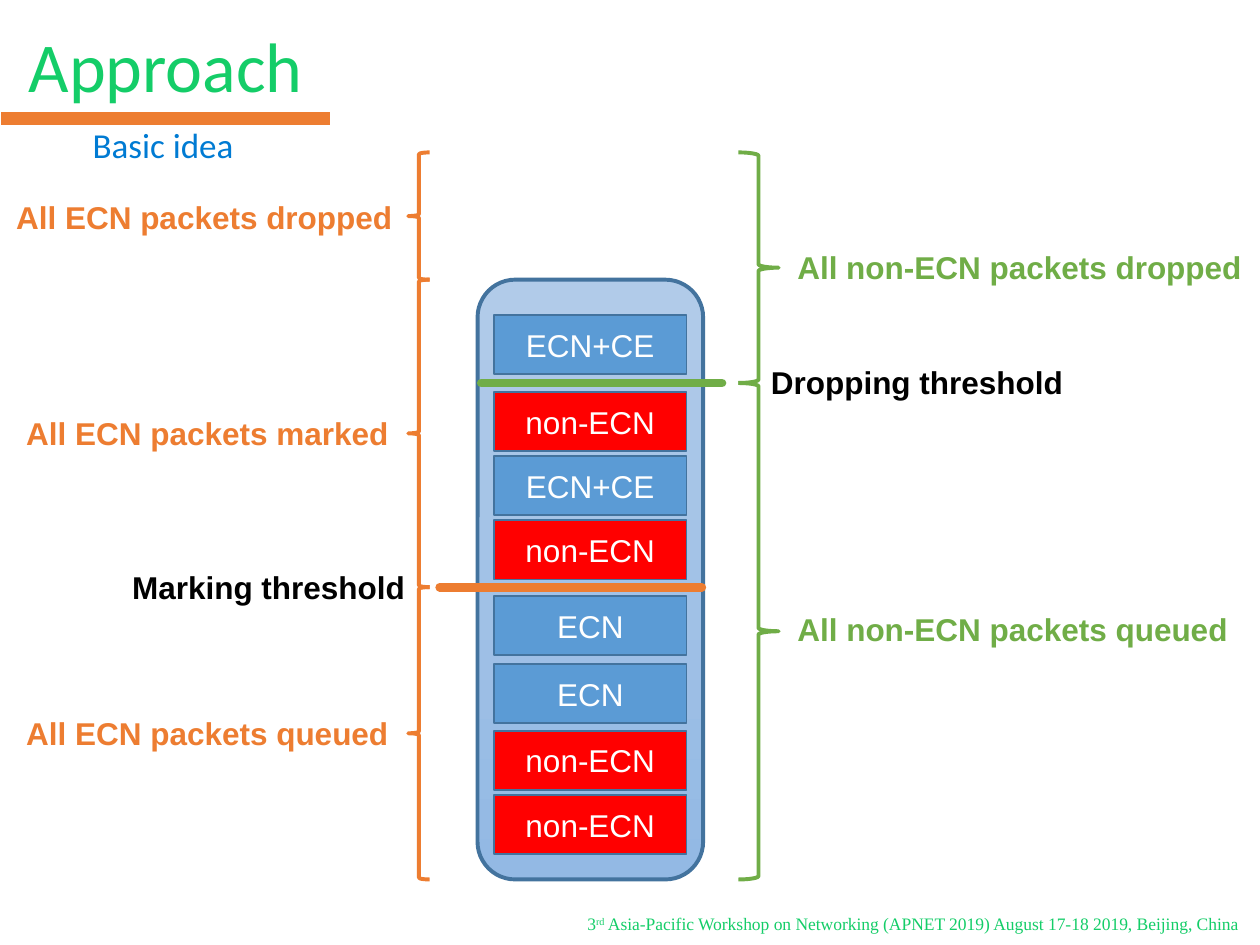
from typing import NamedTuple

from lxml import etree
from pptx import Presentation
from pptx import util as u
from pptx.dml import color
from pptx.enum import shapes, text
from pptx.oxml import ns

ORANGE, GREEN, BLUE, RED = "ED7D31", "70AD47", "5B9BD5", "FF0000"
EDGE, MINT, BLACK, WHITE = "43739E", "14CD68", "000000", "FFFFFF"
KIND = shapes.MSO_SHAPE
MID, LEFT = text.PP_ALIGN.CENTER, text.PP_ALIGN.LEFT
LABEL = {"name": "Arial", "size": u.Pt(18), "bold": True}
PLAIN = {**LABEL, "bold": False}


class Box(NamedTuple):
    x: float
    y: float
    w: float
    h: float


class Packet(NamedTuple):
    word: str
    top: float
    fill: str


class Label(NamedTuple):
    word: str
    box: Box
    tint: str


class Brace(NamedTuple):
    kind: KIND
    box: Box
    tint: str


class Rule(NamedTuple):
    start: float
    end: float
    y: float
    width: float
    tint: str
    cap: str


PACKETS = [
    Packet("ECN+CE", 2.5, BLUE),
    Packet("non-ECN", 3.11, RED),
    Packet("ECN+CE", 3.62, BLUE),
    Packet("non-ECN", 4.13, RED),
    Packet("ECN", 4.73, BLUE),
    Packet("ECN", 5.27, BLUE),
    Packet("non-ECN", 5.8, RED),
    Packet("non-ECN", 6.31, RED),
]
LABELS = [
    Label("All ECN packets dropped", Box(0.03, 1.52, 3.28, 0.4), ORANGE),
    Label("All ECN packets marked", Box(0.11, 3.24, 3.08, 0.4), ORANGE),
    Label("Marking threshold", Box(0.95, 4.46, 2.39, 0.4), BLACK),
    Label("All ECN packets queued", Box(0.11, 5.62, 3.08, 0.4), ORANGE),
    Label("All non-ECN packets dropped", Box(6.23, 1.92, 3.74, 0.4), GREEN),
    Label("Dropping threshold", Box(6.02, 2.83, 2.52, 0.4), BLACK),
    Label("All non-ECN packets queued", Box(6.23, 4.79, 3.62, 0.4), GREEN),
]
TOP, FULL, DROP, MARK, BASE = 1.21, 2.22, 3.04, 4.66, 6.98
BRACES = [
    Brace(KIND.LEFT_BRACE, Box(3.24, a, 0.17, b - a), ORANGE)
    for a, b in [(TOP, FULL), (FULL, MARK), (MARK, BASE)]
] + [
    Brace(KIND.RIGHT_BRACE, Box(5.86, a, 0.32, b - a), GREEN)
    for a, b in [(TOP, DROP), (DROP, BASE)]
]
RULES = [
    Rule(0.01, 2.62, 0.94, 7, ORANGE, "flat"),
    Rule(3.49, 5.57, MARK, 5, ORANGE, "rnd"),
    Rule(3.82, 5.73, DROP, 5, GREEN, "rnd"),
]


def tone(code: str) -> color.RGBColor:
    return color.RGBColor.from_string(code)


def apply(item, values: dict) -> None:
    for key, value in values.items():
        setattr(item, key, value)


def write(shape, words: list, style: dict, tint: str, align=MID,
          anchor=text.MSO_ANCHOR.MIDDLE, space=1.0) -> None:
    frame = shape.text_frame
    apply(frame, {"word_wrap": True, "vertical_anchor": anchor,
                  "auto_size": text.MSO_AUTO_SIZE.NONE})
    para = frame.paragraphs[0]
    apply(para, {"alignment": align, "line_spacing": space})
    for word in words:
        run = para.add_run()
        run.text = word
        apply(run.font, style)
        run.font.color.rgb = tone(tint)


def add_text(slide, box: Box, words: list, style: dict, tint: str, **kind):
    shape = slide.shapes.add_textbox(*map(u.Inches, box))
    write(shape, words, style, tint, **kind)
    return shape


def add_form(slide, kind: KIND, box: Box, edge: str, width: float):
    shape = slide.shapes.add_shape(kind, *map(u.Inches, box))
    shape.shadow.inherit = False
    shape.fill.background()
    shape.line.color.rgb = tone(edge)
    shape.line.width = u.Pt(width)
    return shape


def add_queue(slide) -> None:
    box = Box(3.79, FULL, 1.79, BASE - FULL)
    queue = add_form(slide, KIND.ROUNDED_RECTANGLE, box, EDGE, 2.25)
    queue.fill.gradient()
    queue.fill.gradient_angle = 270
    for stop, code in zip(queue.fill.gradient_stops, ["B1CBE9", "93B9E4"]):
        stop.color.rgb = tone(code)


def add_packet(slide, packet: Packet) -> None:
    box = Box(3.92, packet.top, 1.53, 0.47)
    shape = add_form(slide, KIND.RECTANGLE, box, EDGE, 1)
    shape.fill.solid()
    shape.fill.fore_color.rgb = tone(packet.fill)
    write(shape, [packet.word], PLAIN, WHITE)


def add_rule(slide, rule: Rule) -> None:
    ends = map(u.Inches, (rule.start, rule.y, rule.end, rule.y))
    line = slide.shapes.add_connector(shapes.MSO_CONNECTOR.STRAIGHT, *ends)
    line.line.color.rgb = tone(rule.tint)
    line.line.width = u.Pt(rule.width)
    props = line._element.spPr
    props.find(ns.qn("a:ln")).set("cap", rule.cap)
    etree.SubElement(props, ns.qn("a:effectLst"))


def add_head(slide) -> None:
    title = slide.shapes.title
    sides = ("left", "top", "width", "height")
    apply(title, dict(zip(sides, map(u.Inches, Box(0.05, 0.21, 2.53, 0.69)))))
    style = {"name": "Calibri", "size": u.Pt(40)}
    write(title, ["Approach"], style, MINT, space=0.9)
    style = {"name": "Calibri", "size": u.Pt(20)}
    add_text(slide, Box(0.03, 1.06, 2.53, 0.22), ["Basic idea"], style,
             "007BD3", space=0.9)


def add_foot(slide) -> None:
    words = ["3", "rd", " Asia-Pacific Workshop on Networking (APNET 2019) "
             "August 17-18 2019, Beijing, China"]
    style = {"name": "Times New Roman", "size": u.Pt(10)}
    foot = add_text(slide, Box(4.53, 7.2, 5.43, 0.27), words, style, MINT,
                    anchor=text.MSO_ANCHOR.TOP)
    mark = foot.text_frame.paragraphs[0].runs[1]
    mark._r.get_or_add_rPr().set("baseline", "30000")


def main() -> None:
    deck = Presentation()
    apply(deck, {"slide_width": u.Inches(10), "slide_height": u.Inches(7.5)})
    slide = deck.slides.add_slide(deck.slide_layouts[5])
    add_head(slide)
    add_foot(slide)
    add_queue(slide)
    for packet in PACKETS:
        add_packet(slide, packet)
    for brace in BRACES:
        add_form(slide, brace.kind, brace.box, brace.tint, 2.25)
    for label in LABELS:
        add_text(slide, label.box, [label.word], LABEL, label.tint,
                 align=LEFT, anchor=text.MSO_ANCHOR.TOP)
    for rule in RULES:
        add_rule(slide, rule)
    deck.save("out.pptx")


if __name__ == "__main__":
    main()
